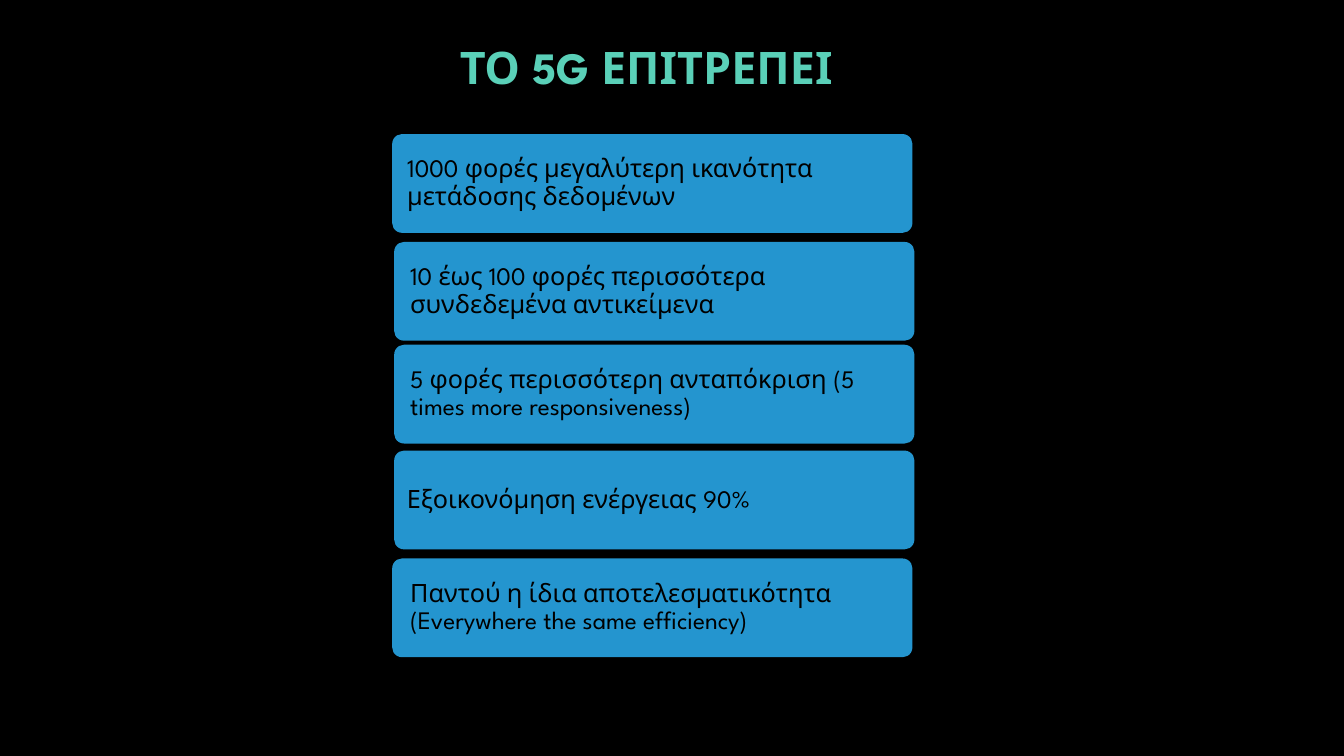
from pptx import Presentation
from pptx.dml.color import RGBColor
from pptx.enum.shapes import MSO_SHAPE as SHAPE
from pptx.enum.text import MSO_ANCHOR as ANCHOR, MSO_AUTO_SIZE as FIT, PP_ALIGN as ALIGN
from pptx.util import Inches, Pt

TITLE = "ΤΟ 5G ΕΠΙΤΡΕΠΕΙ"
BENEFITS = [
    ("1000 φορές μεγαλύτερη ικανότητα μετάδοσης δεδομένων", 3.89, 1.33, 0.12),
    ("10 έως 100 φορές περισσότερα συνδεδεμένα αντικείμενα", 3.91, 2.4, 0.13),
    ("5 φορές περισσότερη ανταπόκριση (5 times more responsiveness)", 3.91, 3.42, 0.13),
    ("Εξοικονόμηση ενέργειας 90%", 3.91, 4.47, 0.1),
    ("Παντού η ίδια αποτελεσματικότητα (Everywhere the same efficiency)", 3.89, 5.54, 0.15),
]
CARD_W, CARD_H = 5.16, 0.98
TITLE_BOX = (4.46, 0.2, 4.59, CARD_H)
BLACK = RGBColor(0x00, 0x00, 0x00)
BLUE = RGBColor(0x24, 0x95, 0xCF)
MINT = RGBColor(0x5A, 0xD0, 0xB8)
FONT = "League Spartan"


def place(sp, box):
    for name, value in zip(("left", "top", "width", "height"), box):
        setattr(sp, name, Inches(value))


def write(sp, text, color, size, bold=False, inset=0.1):
    tf = sp.text_frame
    frame = {"word_wrap": True, "auto_size": FIT.NONE, "vertical_anchor": ANCHOR.MIDDLE,
             "margin_left": Inches(inset), "margin_right": Inches(0.1)}
    for name, value in frame.items():
        setattr(tf, name, value)
    p = tf.paragraphs[0]
    p.alignment = ALIGN.LEFT
    p.line_spacing = 0.9
    r = p.add_run()
    r.text = text
    for name, value in {"name": FONT, "size": Pt(size), "bold": bold}.items():
        setattr(r.font, name, value)
    r.font.color.rgb = color


def main():
    prs = Presentation()
    prs.slide_width, prs.slide_height = Inches(13.33), Inches(7.5)
    s = prs.slides.add_slide(prs.slide_layouts.get_by_name("Title Only"))
    s.background.fill.solid()
    s.background.fill.fore_color.rgb = BLACK

    title = s.shapes.title
    place(title, TITLE_BOX)
    write(title, TITLE, MINT, 32, bold=True)

    for text, left, top, inset in BENEFITS:
        box = [Inches(v) for v in (left, top, CARD_W, CARD_H)]
        sp = s.shapes.add_shape(SHAPE.ROUNDED_RECTANGLE, *box)
        sp.adjustments[0] = 0.1
        sp.shadow.inherit = False
        sp.fill.solid()
        sp.fill.fore_color.rgb = BLUE
        sp.line.fill.background()
        write(sp, text, BLACK, 18, inset=inset)

    prs.save("out.pptx")


if __name__ == "__main__":
    main()
